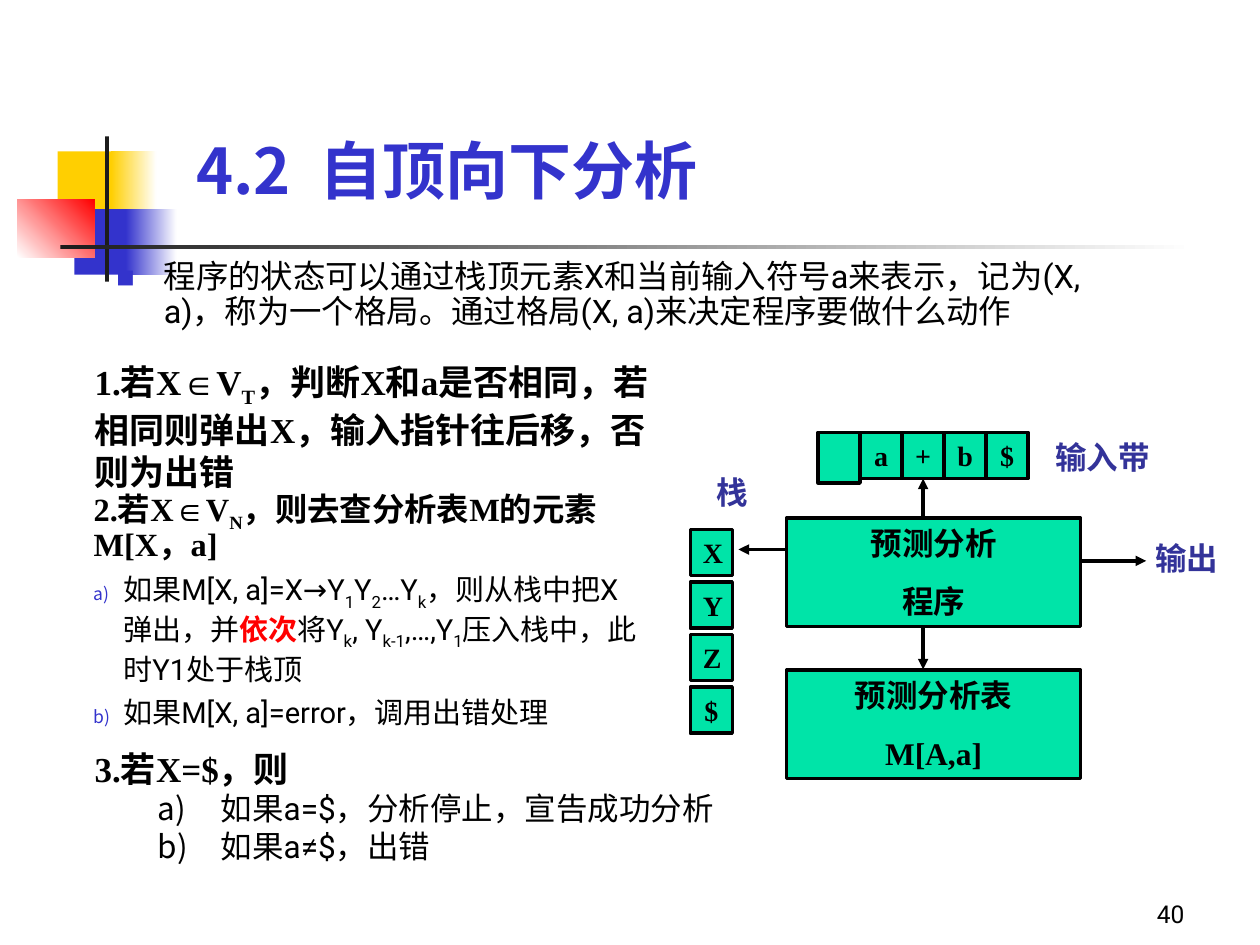
from lxml.etree import SubElement
from pptx import Presentation
from pptx.dml.color import RGBColor
from pptx.enum.shapes import MSO_CONNECTOR, MSO_SHAPE
from pptx.enum.text import MSO_ANCHOR, PP_ALIGN
from pptx.oxml.ns import qn
from pptx.util import Pt

C = {"yellow": "FFCF01", "blue": "3333CC", "red": "FF0000", "white": "FFFFFF",
     "dark": "1C1C1C", "black": "000000", "green": "00E4A8", "label": "333399"}
CJK, SANS, SERIF = "Noto Sans CJK SC", "Roboto", "Times New Roman"


def write(p, text, size=18, font=SERIF, color="black", bold=False, align=None,
          before=None, spacing=None, bullet=None, bullet_color="blue",
          bullet_size=100, indent=0, hang=0):
    """Add text to a paragraph; pieces between bars are subscripts."""
    if align is not None:
        p.alignment = align
    if before is not None:
        p.space_before = Pt(before)
    if spacing is not None:
        p.line_spacing = spacing
    if bullet:
        pPr = p._p.get_or_add_pPr()
        pPr.set("marL", str(Pt(indent)))
        pPr.set("indent", str(-Pt(hang)))
        clr = SubElement(pPr, qn("a:buClr"))
        SubElement(clr, qn("a:srgbClr"), val=C[bullet_color])
        SubElement(pPr, qn("a:buSzPct"), val=str(bullet_size * 1000))
        SubElement(pPr, qn("a:buFont"), typeface=font)
        if bullet == "auto":
            SubElement(pPr, qn("a:buAutoNum"), type="alphaLcParenR")
        else:
            SubElement(pPr, qn("a:buChar"), char=bullet)
    for i, piece in enumerate(text.split("|")):
        r = p.add_run()
        r.text = piece
        r.font.size, r.font.name, r.font.bold = Pt(size), font, bold
        r.font.color.rgb = RGBColor.from_string(C[color])
        rPr = r._r.get_or_add_rPr()
        SubElement(rPr, qn("a:ea"), typeface=CJK)
        if i % 2:
            rPr.set("baseline", "-25000")


def add_box(x, y, w, h, fill=None, fade=None, angle=0, line=False):
    """Add a rectangle, or a text box when it has no fill."""
    at = Pt(x), Pt(y), Pt(w), Pt(h)
    if fill is None:
        s = slide.shapes.add_textbox(*at)
    else:
        s = slide.shapes.add_shape(MSO_SHAPE.RECTANGLE, *at)
        s.shadow.inherit = False
        if fade:
            s.fill.gradient()
            s.fill.gradient_angle = angle
            for stop, name in zip(s.fill.gradient_stops, (fill, fade)):
                stop.color.rgb = RGBColor.from_string(C[name])
        else:
            s.fill.solid()
            s.fill.fore_color.rgb = RGBColor.from_string(C[fill])
        if line:
            s.line.color.rgb = RGBColor.from_string(C["black"])
            s.line.width = Pt(2)
        else:
            s.line.fill.background()
    s.text_frame.word_wrap = True
    s.text_frame.vertical_anchor = MSO_ANCHOR.TOP
    return s


prs = Presentation()
prs.slide_width, prs.slide_height = Pt(720), Pt(540)
slide = prs.slides.add_slide(prs.slide_layouts[6])

# Corner decoration and title rule
for x, y, w, h, fill, fade, angle in [
        (33, 86.5, 34.5, 37.5, "yellow", None, 0),
        (63.5, 86.5, 26, 37.5, "yellow", "white", 0),
        (42.5, 119.5, 33, 37.5, "blue", None, 0),
        (72, 119.5, 29, 37.5, "blue", "white", 0),
        (10, 114, 44, 33, "white", "red", 45),
        (60, 78, 2.3, 83, "dark", None, 0),
        (34.5, 140, 648, 2.5, "dark", "white", 0)]:
    add_box(x, y, w, h, fill, fade, angle)

# Page number and title
tf = add_box(534, 498, 150, 36).text_frame
tf.vertical_anchor = MSO_ANCHOR.BOTTOM
write(tf.paragraphs[0], "40", size=14, font=SANS, align=PP_ALIGN.RIGHT)
tf = add_box(105, 55, 537, 67).text_frame
tf.vertical_anchor = MSO_ANCHOR.BOTTOM
write(tf.paragraphs[0], "4.2  自顶向下分析", size=36, font=CJK, color="blue", bold=True)

# Introduction
tf = add_box(59.5, 145.5, 601, 73.5).text_frame
write(tf.paragraphs[0],
      "程序的状态可以通过栈顶元素X和当前输入符号a来表示，记为(X, a)，"
      "称为一个格局。通过格局(X, a)来决定程序要做什么动作",
      size=18.5, font=SANS, spacing=0.9, bullet="■", bullet_size=60,
      indent=27, hang=27)

# Rule 1
tf = add_box(47, 202.5, 336, 83).text_frame
write(tf.paragraphs[0],
      "1.若X∈V|T|，判断X和a是否相同，若相同则弹出X，输入指针往后移，否则为出错",
      size=20, bold=True)

# Input tape; its first cell is blank and a little taller
cell_w, cell_h = 24, 26.5
cells = {}
add_box(467.5, 247, cell_w, 29, "green", line=True)
grid = [(t, 491.5 + i * cell_w, 247) for i, t in enumerate("a+b$")]
# Stack
grid += [(t, 394.5, 302.5 + i * 30) for i, t in enumerate("XYZ$")]
for text, x, y in grid:
    s = add_box(x, y, cell_w, cell_h, "green", line=True)
    write(s.text_frame.paragraphs[0], text, size=16, bold=True, align=PP_ALIGN.CENTER)
    cells[text] = s

# Diagram labels
for text, x, y, w in [("输入带", 593.5, 246.5, 73), ("栈", 389.5, 267, 57.5),
                      ("输出", 649.5, 304.5, 57)]:
    s = add_box(x, y, w, 29, "white")
    write(s.text_frame.paragraphs[0], text, color="label", bold=True)

# Program and parsing table
for y, lines in [(296, ("预测分析", "程序")), (383, ("预测分析表", "M[A,a]"))]:
    tf = add_box(449.5, y, 168, 62, "green", line=True).text_frame
    for i, text in enumerate(lines):
        p = tf.add_paragraph() if i else tf.paragraphs[0]
        write(p, text, bold=True, align=PP_ALIGN.CENTER, before=11.2 if i else None)

# Arrows out of the program
for x1, y1, x2, y2, target in [(527.5, 296, 527.5, 275.5, cells["+"]),
                               (449.5, 314, 422, 314, None),
                               (527.5, 358, 527.5, 382.5, None),
                               (617.5, 320.5, 655, 320.5, None)]:
    s = slide.shapes.add_connector(MSO_CONNECTOR.STRAIGHT, Pt(x1), Pt(y1), Pt(x2), Pt(y2))
    if target:
        s.end_connect(target, 2)
    s.line.color.rgb = RGBColor.from_string(C["black"])
    s.line.width = Pt(2)
    SubElement(s.line._get_or_add_ln(), qn("a:tailEnd"), type="triangle")
    SubElement(s._element.spPr, qn("a:effectLst"))

# Rule 2
tf = add_box(46.5, 276, 329, 154).text_frame
write(tf.paragraphs[0], "2.若X∈V|N|，则去查分析表M的元素M[X，a]",
      size=18.5, bold=True, spacing=0.9)
body = dict(size=16.6, font=SANS)
item = dict(body, before=4.5, bullet="auto", bullet_size=60, indent=17, hang=17)
p = tf.add_paragraph()
write(p, "如果M[X, a]=X→Y|1|Y|2|…Y|k|，则从栈中把X弹出，并", **item)
write(p, "依次", color="red", bold=True, **body)
write(p, "将Y|k|, Y|k-1|,…,Y|1|压入栈中，此时Y1处于栈顶", **body)
write(tf.add_paragraph(), "如果M[X, a]=error，调用出错处理", **item)

# Rule 3
tf = add_box(47, 423.5, 402.5, 75).text_frame
write(tf.paragraphs[0], "3.若X=$，则", size=20, bold=True)
for text in ("如果a=$，分析停止，宣告成功分析", "如果a≠$，出错"):
    p = tf.add_paragraph()
    p.level = 1
    write(p, text, font=SANS, bullet="auto", bullet_color="black", indent=72, hang=36)

prs.save("out.pptx")
